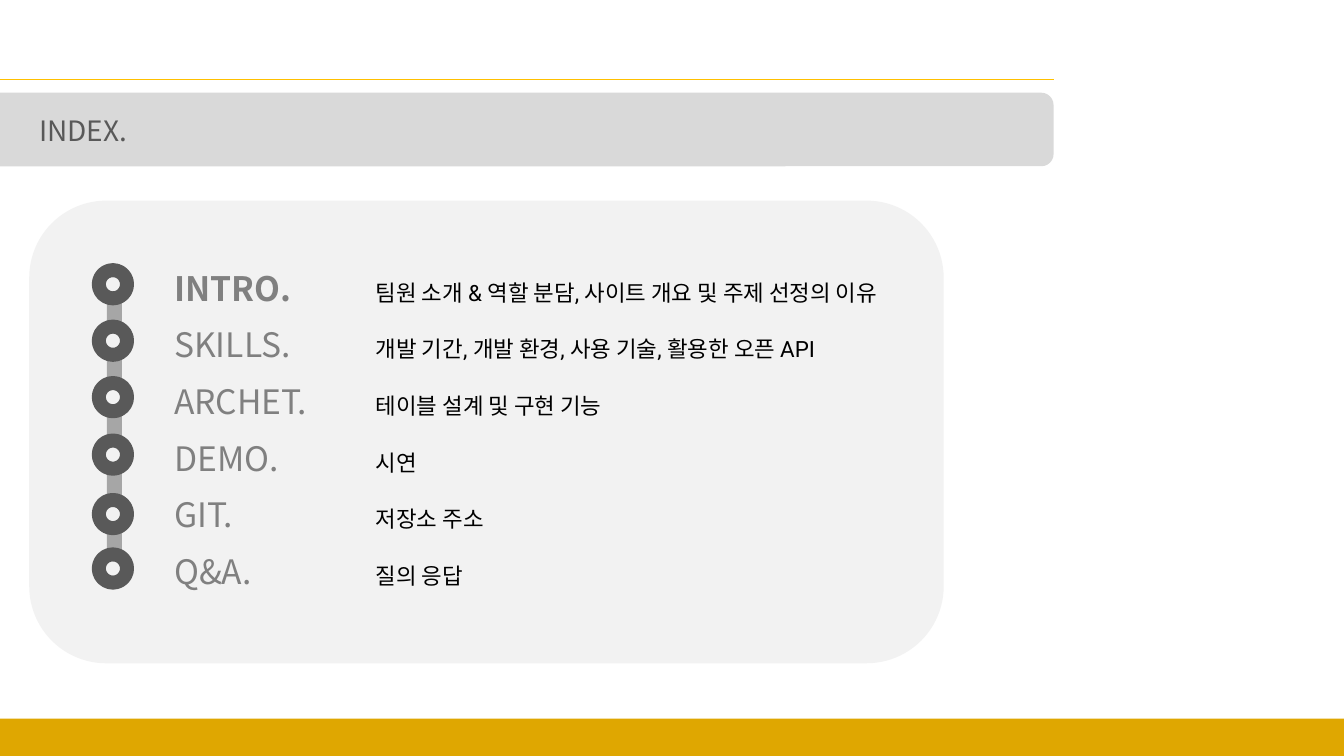
import pptx
import pptx.util
import pptx.dml.color
import pptx.enum.shapes
import pptx.enum.text
import pptx.oxml.ns
from lxml import etree

Inches = pptx.util.Inches
Pt = pptx.util.Pt
SHAPE = pptx.enum.shapes.MSO_SHAPE

COLORS = {
    "rule": "FFC000", "bar": "D9D9D9", "panel": "F2F2F2", "footer": "DFA701",
    "dark": "595959", "track": "A6A6A6", "heading": "808080", "body": "000000",
}
HEAD_FONT = "Noto Sans CJK KR"
BODY_FONT = "Roboto"

ITEMS = [
    ("INTRO.", "팀원 소개 & 역할 분담, 사이트 개요 및 주제 선정의 이유"),
    ("SKILLS.", "개발 기간, 개발 환경, 사용 기술, 활용한 오픈 API"),
    ("ARCHET.", "테이블 설계 및 구현 기능"),
    ("DEMO.", "시연"),
    ("GIT.", "저장소 주소"),
    ("Q&A.", "질의 응답"),
]
RING_TOPS = [2.68, 3.24, 3.8, 4.37, 4.96, 5.5]


def rgb(name):
    return pptx.dml.color.RGBColor.from_string(COLORS[name])


def add_block(s, kind, box, fill, line=None, width=0):
    sp = s.shapes.add_shape(kind, *map(Inches, box))
    sp.shadow.inherit = False
    sp.fill.solid()
    sp.fill.fore_color.rgb = rgb(fill)
    if line:
        sp.line.color.rgb = rgb(line)
        sp.line.width = Pt(width)
    else:
        sp.line.fill.background()
    return sp


def add_rule(s, x1, y1, x2, y2, color, width):
    ln = s.shapes.add_connector(
        pptx.enum.shapes.MSO_CONNECTOR.STRAIGHT, *map(Inches, (x1, y1, x2, y2)))
    ln.line.color.rgb = rgb(color)
    ln.line.width = Pt(width)
    etree.SubElement(ln._element.spPr, pptx.oxml.ns.qn("a:effectLst"))


def add_textbox(s, box, wrap):
    tf = s.shapes.add_textbox(*map(Inches, box)).text_frame
    tf.word_wrap = wrap
    return tf


def add_run(p, text, size, font, color, bold=False):
    r = p.add_run()
    r.text = text
    r.font.size = Pt(size)
    r.font.name = font
    r.font.bold = bold
    r.font.color.rgb = rgb(color)
    # Korean glyphs use the East Asian font
    ea = etree.SubElement(r.font._element, pptx.oxml.ns.qn("a:ea"))
    ea.set("typeface", HEAD_FONT)


def add_tab_stop(p, inches):
    tabs = etree.SubElement(p._p.get_or_add_pPr(), pptx.oxml.ns.qn("a:tabLst"))
    tab = etree.SubElement(tabs, pptx.oxml.ns.qn("a:tab"))
    tab.set("pos", str(Inches(inches)))
    tab.set("algn", "l")


def add_index_list(s, box):
    tf = add_textbox(s, box, True)
    for i, (heading, detail) in enumerate(ITEMS):
        p = tf.add_paragraph() if i else tf.paragraphs[0]
        p.line_spacing = Pt(30.5)
        p.space_before = Pt(10 if i else 0)
        add_tab_stop(p, 2)
        add_run(p, heading + "\t", 24, HEAD_FONT, "heading", bold=i == 0)
        add_run(p, detail, 16, BODY_FONT, "body")


def add_timeline(s):
    track = add_block(s, SHAPE.ROUNDED_RECTANGLE, (1.06, 2.68, 0.15, 3.15), "track")
    track.adjustments[0] = 0.5
    for top in RING_TOPS:
        add_block(s, SHAPE.OVAL, (0.98, top, 0.28, 0.28), "panel", "dark", 10)


def main():
    prs = pptx.Presentation()
    prs.slide_width, prs.slide_height = Inches(13.33), Inches(7.5)
    s = prs.slides.add_slide(prs.slide_layouts[6])

    # Title bar
    add_rule(s, 0, 0.79, 10.45, 0.79, "rule", 0.5)
    add_block(s, SHAPE.ROUNDED_RECTANGLE, (-0.31, 0.92, 10.76, 0.73), "bar")
    p = add_textbox(s, (0.29, 1.07, 1.16, 0.44), False).paragraphs[0]
    p.line_spacing = Pt(24.5)
    add_run(p, "INDEX.", 20, HEAD_FONT, "dark")

    # Panel and footer
    add_block(s, SHAPE.ROUNDED_RECTANGLE, (0.29, 1.99, 9.07, 4.59), "panel")
    add_block(s, SHAPE.RECTANGLE, (-0.01, 7.13, 13.35, 0.37), "footer")

    # Contents
    add_index_list(s, (1.63, 2.58, 7.73, 3.35))
    add_timeline(s)

    prs.save("out.pptx")


if __name__ == "__main__":
    main()
